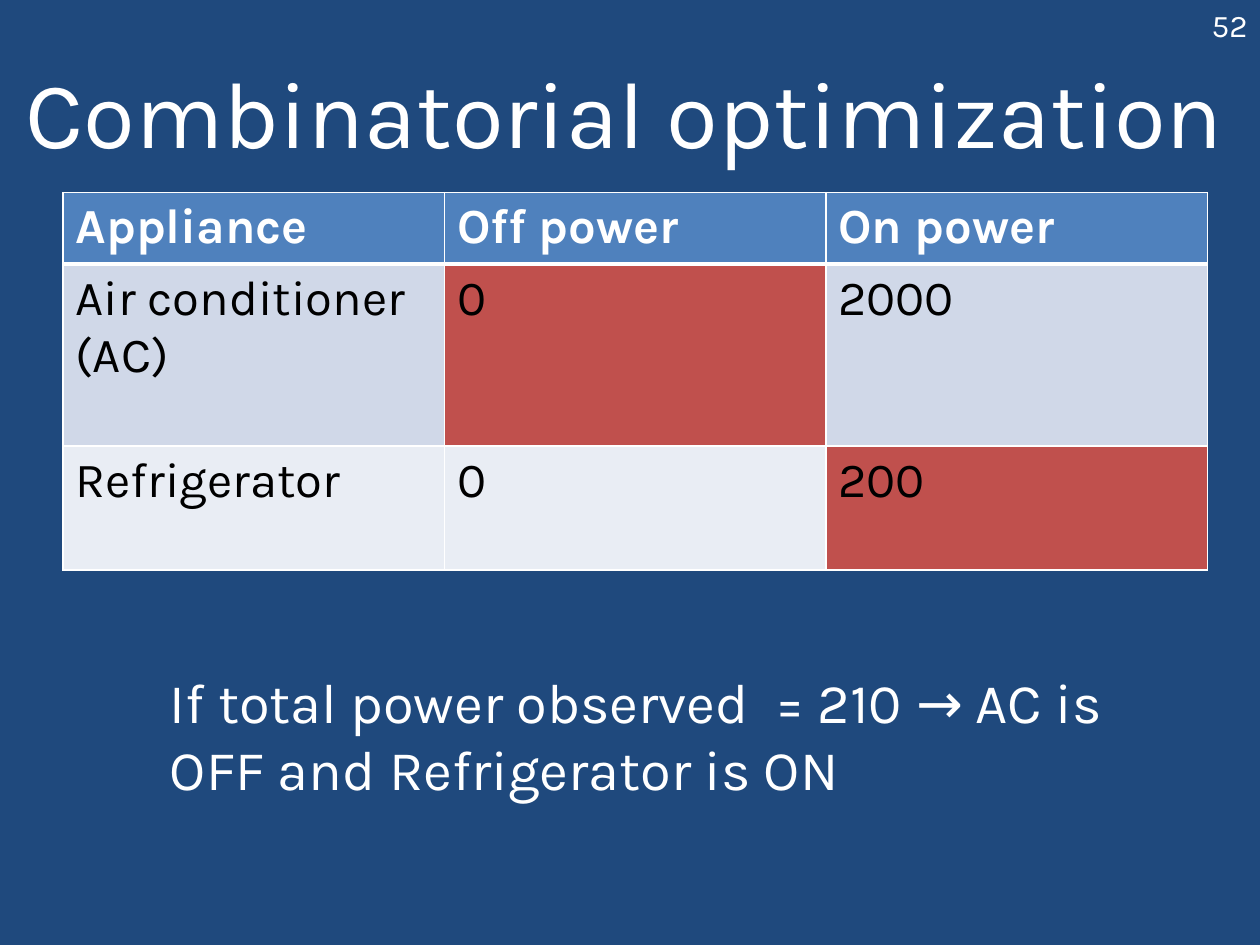
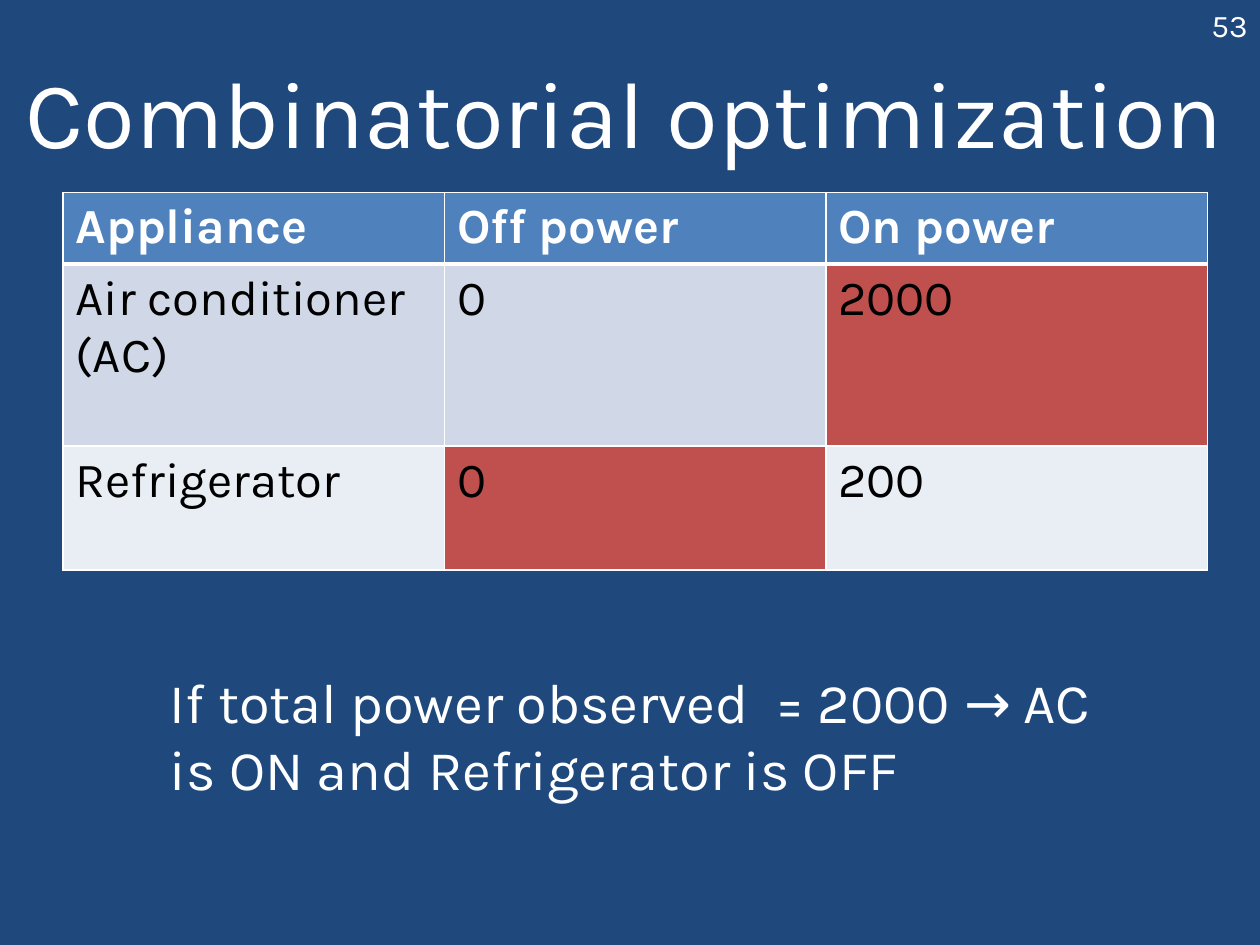
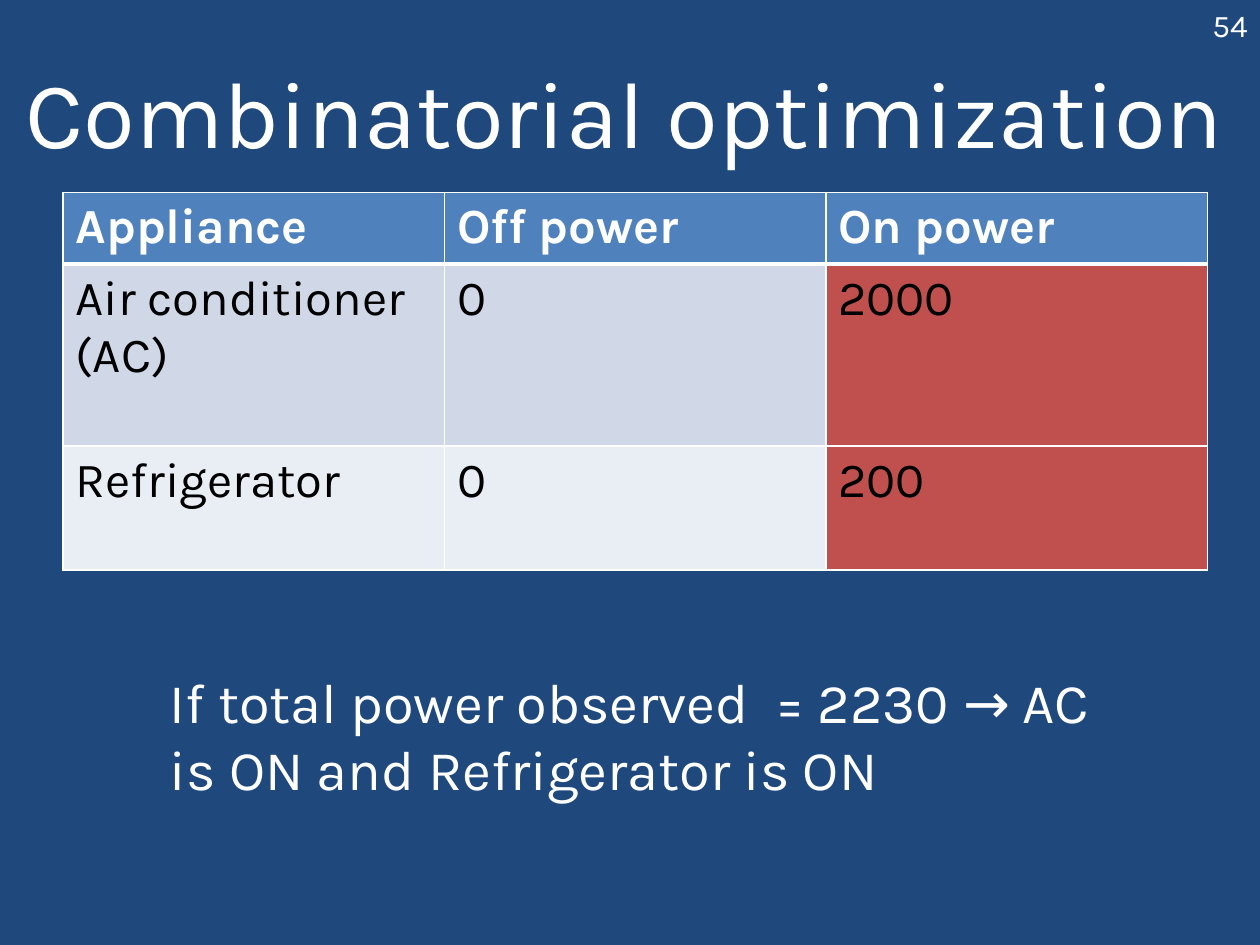
from lxml import etree
from pptx import Presentation
from pptx import util as u
from pptx.dml import color
from pptx.enum import text
from pptx.oxml import ns

# Shared look
FONT = "Karla"
COLORS = {"background": "1F497D", "white": "FFFFFF", "black": "000000",
          "header": "4F81BD", "odd": "D0D8E8", "even": "E9EDF4", "chosen": "C0504D"}
TITLE = {"size": u.Pt(54), "name": FONT}
CELL = {"size": u.Pt(28), "name": FONT}
BODY = {"size": u.Pt(32), "name": FONT}
NUMBER = {"size": u.Pt(18), "name": FONT}
LEFT, CENTER, RIGHT = text.PP_ALIGN.LEFT, text.PP_ALIGN.CENTER, text.PP_ALIGN.RIGHT
TOP, MIDDLE = text.MSO_ANCHOR.TOP, text.MSO_ANCHOR.MIDDLE

# Appliance table
ROWS = [("Appliance", "Off power", "On power"),
        ("Air conditioner (AC)", "0", "2000"),
        ("Refrigerator", "0", "200")]
ROW_FILLS = ["header", "odd", "even"]
ROW_HEIGHTS = [39, 104, 71]
COL_WIDTH = 218

# Observed power, conclusion, column of the chosen cell in each appliance row
CASES = [("210", "AC is OFF and Refrigerator is ON", {1: 1, 2: 2}),
         ("2000", "AC is ON and Refrigerator is OFF", {1: 2, 2: 1}),
         ("2230", "AC is ON and Refrigerator is ON", {1: 2, 2: 2})]
FIRST_NUMBER = 52


def write(tf, words, fmt, ink, align=LEFT):
    p = tf.paragraphs[0]
    p.alignment = align
    r = p.add_run()
    r.text = words
    for name, value in fmt.items():
        setattr(r.font, name, value)
    r.font.color.rgb = color.RGBColor.from_string(COLORS[ink])


def add_text(s, box, words, fmt, align=LEFT, anchor=TOP):
    tf = s.shapes.add_textbox(*map(u.Pt, box)).text_frame
    tf.word_wrap = True
    tf.vertical_anchor = anchor
    write(tf, words, fmt, "white", align)


prs = Presentation()
prs.slide_width, prs.slide_height = u.Pt(720), u.Pt(540)

for number, (power, conclusion, chosen) in enumerate(CASES, FIRST_NUMBER):
    s = prs.slides.add_slide(prs.slide_layouts[6])
    s.background.fill.solid()
    s.background.fill.fore_color.rgb = color.RGBColor.from_string(COLORS["background"])

    # Title
    add_text(s, (0, 18, 714, 90), "Combinatorial optimization", TITLE, CENTER, MIDDLE)

    # Table of appliance states
    sp = s.shapes.add_table(len(ROWS), len(ROWS[0]), u.Pt(36), u.Pt(110),
                            u.Pt(COL_WIDTH * len(ROWS[0])), u.Pt(sum(ROW_HEIGHTS)))
    table = sp.table
    for column in table.columns:
        column.width = u.Pt(COL_WIDTH)
    for i, row in enumerate(ROWS):
        table.rows[i].height = u.Pt(ROW_HEIGHTS[i])
        for j, words in enumerate(row):
            cell = table.cell(i, j)
            write(cell.text_frame, words, {**CELL, "bold": i == 0},
                  "white" if i == 0 else "black")

            # White rules, heavier below the header
            tcPr = cell._tc.get_or_add_tcPr()
            for side in "LRTB":
                heavy = (i, side) in [(0, "B"), (1, "T")]
                ln = etree.SubElement(tcPr, ns.qn("a:ln" + side),
                                      w=str(u.Pt(3 if heavy else 1)))
                ink = etree.SubElement(ln, ns.qn("a:solidFill"))
                etree.SubElement(ink, ns.qn("a:srgbClr"), val=COLORS["white"])

            fill = "chosen" if chosen.get(i) == j else ROW_FILLS[i]
            cell.fill.solid()
            cell.fill.fore_color.rgb = color.RGBColor.from_string(COLORS[fill])

    # Conclusion and slide number
    add_text(s, (90, 378, 564, 106.5),
             f"If total power observed  = {power} → {conclusion}", BODY)
    add_text(s, (552, 0, 168, 29), str(number), NUMBER, RIGHT, MIDDLE)

prs.save("out.pptx")
